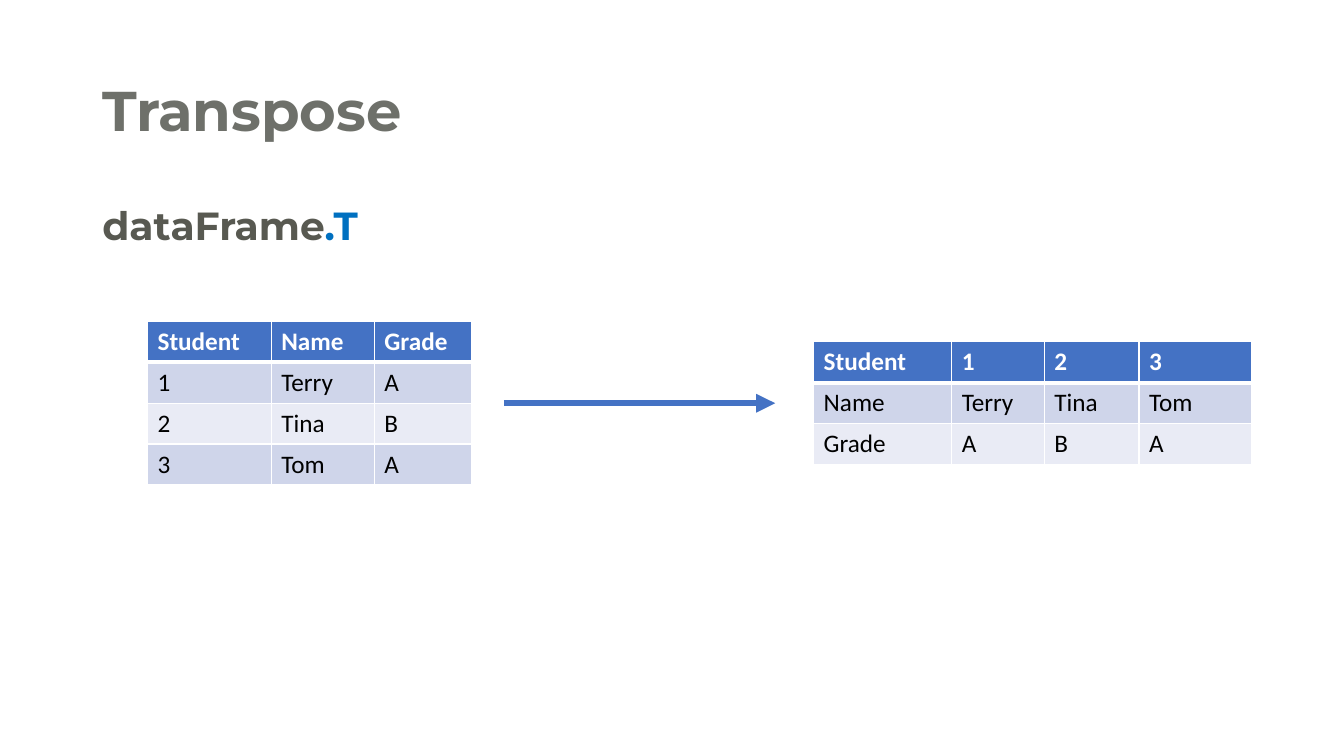
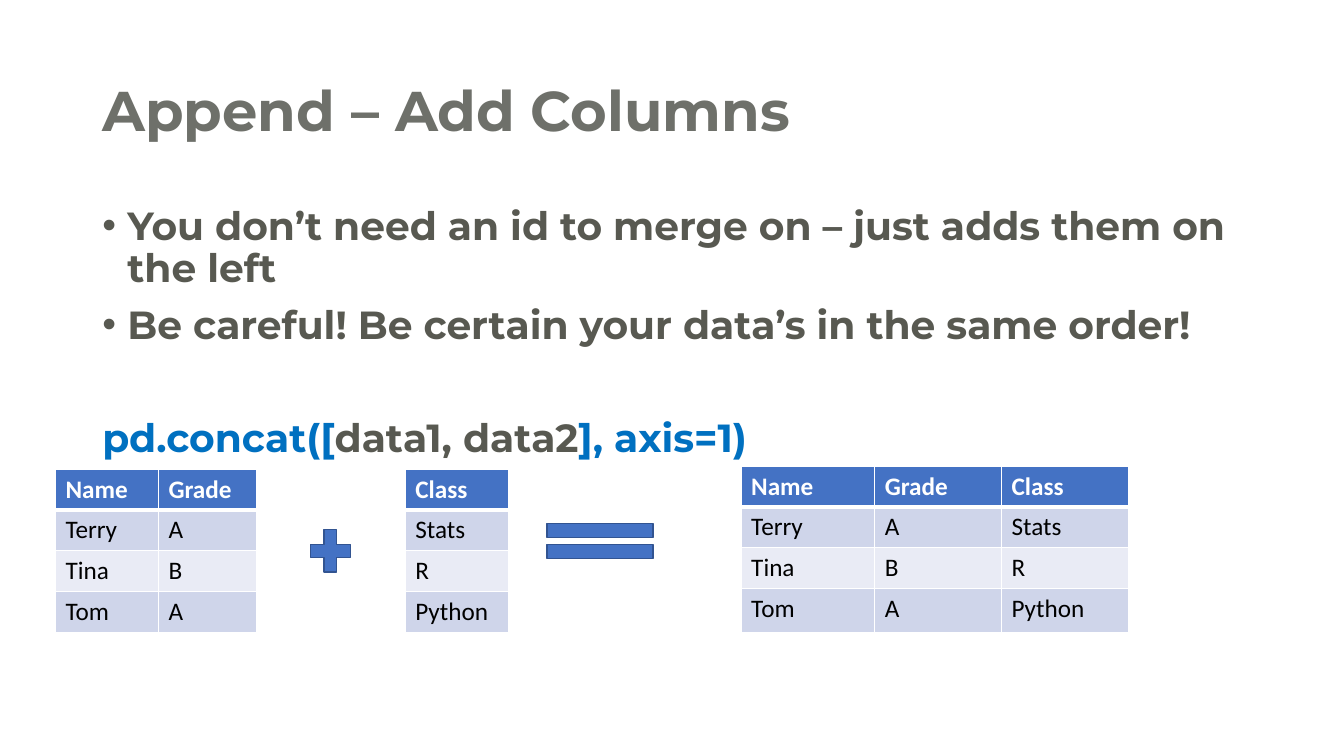
from lxml import etree
from pptx import Presentation
from pptx.dml.color import RGBColor
from pptx.enum.shapes import MSO_CONNECTOR, MSO_SHAPE
from pptx.enum.text import MSO_ANCHOR, MSO_AUTO_SIZE, PP_ALIGN
from pptx.oxml.ns import qn
from pptx.util import Pt

STRAIGHT = MSO_CONNECTOR.STRAIGHT
PLUS, EQUAL = MSO_SHAPE.MATH_PLUS, MSO_SHAPE.MATH_EQUAL
MIDDLE, NO_FIT, LEFT = MSO_ANCHOR.MIDDLE, MSO_AUTO_SIZE.NONE, PP_ALIGN.LEFT

TITLE_GREY = RGBColor(0x6E, 0x70, 0x6A)
TEXT_GREY = RGBColor(0x58, 0x59, 0x51)
CODE_BLUE = RGBColor(0x00, 0x70, 0xC0)
ACCENT = RGBColor(0x44, 0x72, 0xC4)
ACCENT_EDGE = RGBColor(0x32, 0x54, 0x91)
BANDS = RGBColor(0xCF, 0xD5, 0xEA), RGBColor(0xE9, 0xEB, 0xF5)
WHITE = RGBColor(0xFF, 0xFF, 0xFF)
BLACK = RGBColor(0x00, 0x00, 0x00)

HEADING_FONT, TABLE_FONT = "Montserrat", "Calibri"
MARGIN, CONTENT_WIDTH = 66, 828
ROW_HEIGHT = 29.2
BULLET_INDENT = 18
THIN, THICK = 1, 3

STUDENTS = [
    ("Student", "Name", "Grade"),
    ("1", "Terry", "A"),
    ("2", "Tina", "B"),
    ("3", "Tom", "A"),
]
GRADES = [row[1:] for row in STUDENTS]
CLASSES = [("Class",), ("Stats",), ("R",), ("Python",)]
COMBINED = [left + right for left, right in zip(GRADES, CLASSES)]
TRANSPOSED = list(zip(*STUDENTS))

SLIDES = [
    {
        "title": "Transpose",
        "body": [
            {"spans": [("dataFrame", TEXT_GREY), (".T", CODE_BLUE)]},
        ],
        "tables": [
            {"rows": STUDENTS, "at": (105.4, 229.6), "widths": (88.4, 73.6, 69.8)},
            {"rows": TRANSPOSED, "at": (581.2, 244.2), "widths": (98.6, 66.2, 67.6, 80.8)},
        ],
        "arrows": [((360, 288), (553.7, 288))],
        "symbols": [],
    },
    {
        "title": "Append – Add Columns",
        "body": [
            {"bullet": True, "spans": [
                ("You don’t need an id to merge on – just adds them on the left", TEXT_GREY)]},
            {"bullet": True, "before": 10, "spans": [
                ("Be careful! Be certain your data’s in the same order!", TEXT_GREY)]},
            {"before": 50.7, "spans": [
                ("pd.concat([", CODE_BLUE), ("data1, data2", TEXT_GREY),
                ("], axis=1)", CODE_BLUE)]},
        ],
        "tables": [
            {"rows": GRADES, "at": (39.6, 335), "widths": (73.6, 69.8)},
            {"rows": CLASSES, "at": (289.5, 335), "widths": (73.6,)},
            {"rows": COMBINED, "at": (529.4, 333.2), "widths": (95.4, 90.6, 90.6),
             "heights": (28.8, ROW_HEIGHT, ROW_HEIGHT, 31.4)},
        ],
        "arrows": [],
        "symbols": [(PLUS, 216.5, 373, 39, 41), (EQUAL, 377, 365.2, 103, 42.5)],
    },
]


def style_span(span, font, size, color, bold):
    span.font.name = font
    span.font.size = Pt(size)
    span.font.bold = bold
    span.font.color.rgb = color


def set_title(page, text):
    title = page.shapes.title
    title.left, title.top = Pt(MARGIN), Pt(28.75)
    title.width, title.height = Pt(CONTENT_WIDTH), Pt(104.4)
    frame = title.text_frame
    frame.text = text
    frame.auto_size = NO_FIT
    frame.vertical_anchor = MIDDLE
    para = frame.paragraphs[0]
    para.alignment = LEFT
    para.line_spacing = 0.9
    style_span(para.runs[0], HEADING_FONT, 40, TITLE_GREY, True)


def add_bullet(para):
    properties = para._p.get_or_add_pPr()
    properties.set("marL", str(Pt(BULLET_INDENT)))
    properties.set("indent", str(-Pt(BULLET_INDENT)))
    etree.SubElement(properties, qn("a:buFont"), typeface="Arial")
    etree.SubElement(properties, qn("a:buChar"), char="•")


def add_body(page, entries):
    box = page.shapes.add_textbox(Pt(MARGIN), Pt(144), Pt(CONTENT_WIDTH), Pt(342.6))
    frame = box.text_frame
    frame.word_wrap = True
    for index, entry in enumerate(entries):
        para = frame.add_paragraph() if index else frame.paragraphs[0]
        if entry.get("bullet"):
            add_bullet(para)
        para.line_spacing = 0.9
        para.space_before = Pt(entry.get("before", 0))
        for text, color in entry["spans"]:
            span = para.add_run()
            span.text = text
            style_span(span, HEADING_FONT, 28, color, True)


def set_borders(cell, top, bottom):
    properties = cell._tc.get_or_add_tcPr()
    for side, width in (("L", THIN), ("R", THIN), ("T", top), ("B", bottom)):
        line = etree.SubElement(properties, qn("a:ln" + side), w=str(Pt(width)))
        fill = etree.SubElement(line, qn("a:solidFill"))
        etree.SubElement(fill, qn("a:srgbClr"), val=str(WHITE))


def add_table(page, rows, at, widths, heights=None):
    heights = heights or [ROW_HEIGHT] * len(rows)
    left, top = at
    table = page.shapes.add_table(
        len(rows), len(widths), Pt(left), Pt(top), Pt(sum(widths)), Pt(sum(heights))
    ).table
    for column, width in zip(table.columns, widths):
        column.width = Pt(width)
    for row, height in zip(table.rows, heights):
        row.height = Pt(height)
    for row_index, values in enumerate(rows):
        header = row_index == 0
        for column_index, value in enumerate(values):
            cell = table.cell(row_index, column_index)
            set_borders(cell, THICK if row_index == 1 else THIN, THICK if header else THIN)
            cell.fill.solid()
            cell.fill.fore_color.rgb = ACCENT if header else BANDS[(row_index - 1) % 2]
            cell.text_frame.text = value
            style_span(cell.text_frame.paragraphs[0].runs[0], TABLE_FONT, 18,
                       WHITE if header else BLACK, header)


def add_arrow(page, start, end):
    arrow = page.shapes.add_connector(STRAIGHT, *map(Pt, start + end))
    arrow.line.color.rgb = ACCENT
    arrow.line.width = Pt(4.5)
    etree.SubElement(arrow.line._get_or_add_ln(), qn("a:tailEnd"), type="triangle")
    etree.SubElement(arrow._element.spPr, qn("a:effectLst"))


def add_symbol(page, kind, *bounds):
    symbol = page.shapes.add_shape(kind, *map(Pt, bounds))
    symbol.shadow.inherit = False
    symbol.fill.solid()
    symbol.fill.fore_color.rgb = ACCENT
    symbol.line.color.rgb = ACCENT_EDGE
    symbol.line.width = Pt(1)


def main():
    deck = Presentation()
    deck.slide_width, deck.slide_height = Pt(960), Pt(540)
    title_only = deck.slide_layouts[5]
    for content in SLIDES:
        page = deck.slides.add_slide(title_only)
        set_title(page, content["title"])
        add_body(page, content["body"])
        for table in content["tables"]:
            add_table(page, **table)
        for start, end in content["arrows"]:
            add_arrow(page, start, end)
        for symbol in content["symbols"]:
            add_symbol(page, *symbol)
    deck.save("out.pptx")


if __name__ == "__main__":
    main()
